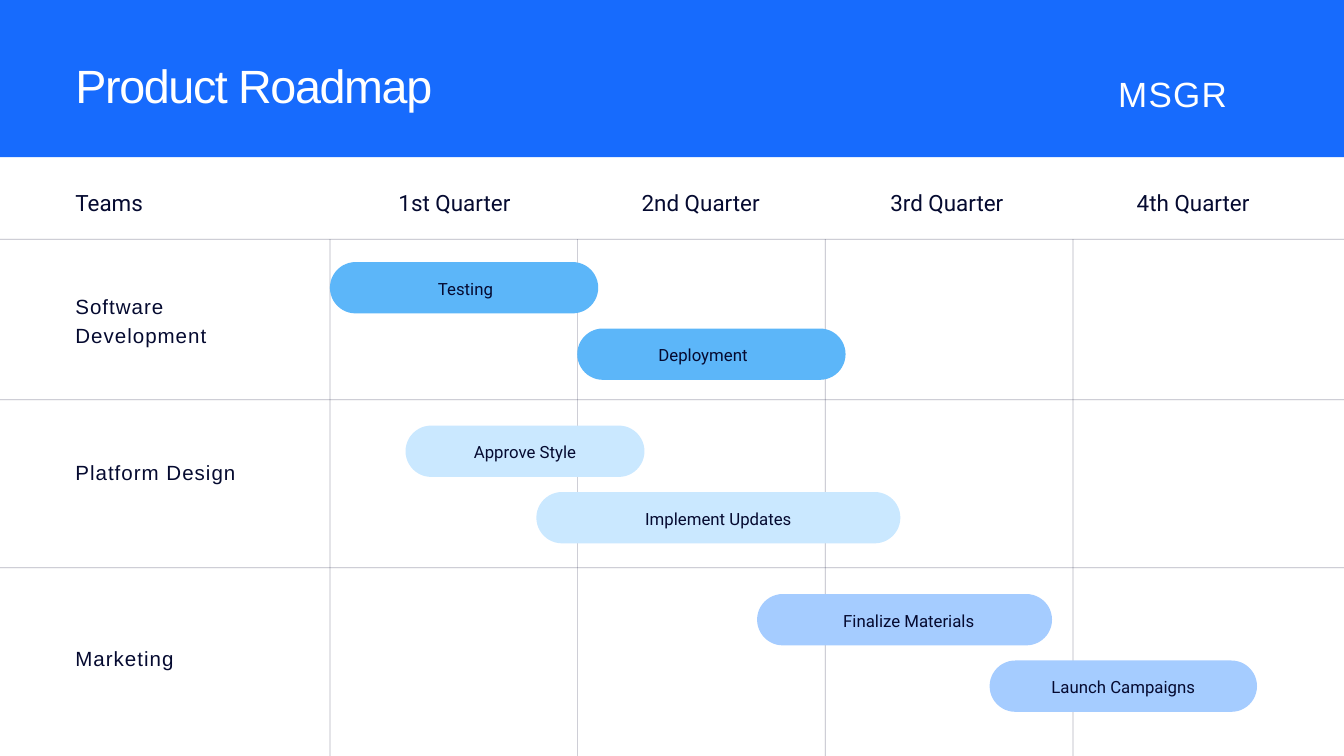
from collections import namedtuple

from lxml import etree
from pptx import Presentation
from pptx import util as u
from pptx.dml.color import RGBColor
from pptx.enum import shapes, text
from pptx.oxml import ns

WHITE = RGBColor(0xFF, 0xFF, 0xFF)
NAVY = RGBColor(0x05, 0x0A, 0x30)
BANNER_BLUE = RGBColor(0x17, 0x6B, 0xFD)
SKY_BLUE = RGBColor(0x5C, 0xB6, 0xF9)
PALE_BLUE = RGBColor(0xCA, 0xE8, 0xFF)
SOFT_BLUE = RGBColor(0xA5, 0xCC, 0xFF)

LEFT, CENTER, JUSTIFY = text.PP_ALIGN.LEFT, text.PP_ALIGN.CENTER, text.PP_ALIGN.JUSTIFY
TOP, MIDDLE = text.MSO_ANCHOR.TOP, text.MSO_ANCHOR.MIDDLE

Box = namedtuple("Box", "left top width height")
Style = namedtuple("Style", "font color line_spacing alignment tracking")
Row = namedtuple("Row", "name top label_top bar_top color bars")
Bar = namedtuple("Bar", "name left width label_shift")

TITLE = Style({"name": "Arial", "size": u.Pt(50)}, WHITE, 65, LEFT, -1.5)
MARK = Style({"name": "Arial", "size": u.Pt(37.5)}, WHITE, 52.4, LEFT, 1.4)
TEAM = Style({"name": "Arial", "size": u.Pt(22)}, NAVY, 30.8, JUSTIFY, 1.1)
HEADING = Style({"name": "Roboto", "size": u.Pt(24)}, NAVY, 31.2, LEFT, 0)
QUARTER = HEADING._replace(alignment=CENTER)
TASK = Style({"name": "Roboto", "size": u.Pt(18)}, NAVY, 23.4, CENTER, 0)

QUARTERS = ["1st Quarter", "2nd Quarter", "3rd Quarter", "4th Quarter"]
ROWS = [
    Row("Software Development", 87.8, 142.5, 112.3, SKY_BLUE,
        [Bar("Testing", 353.5, 287.5, 1.5), Bar("Deployment", 618.5, 287.5, -9)]),
    Row("Platform Design", 259.9, 319.7, 287.5, PALE_BLUE,
        [Bar("Approve Style", 434.5, 256, 0), Bar("Implement Updates", 574.7, 390, 0)]),
    Row("Marketing", 439.9, 519, 468, SOFT_BLUE,
        [Bar("Finalize Materials", 811.2, 316, 4.5), Bar("Launch Campaigns", 1060.3, 286.5, 0)]),
]
MARGIN = 80.8
COLUMN_LEFT, COLUMN_STEP = 353.5, 265.4
BAR_HEIGHT, BAR_STEP = 55, 71.2


def points(*values):
    """Turn numbers into point lengths."""
    return [u.Pt(value) for value in values]


def write(shape, content, style, anchor=TOP):
    """Fill a shape with one formatted paragraph."""
    frame = shape.text_frame
    frame_format = {"word_wrap": True, "auto_size": text.MSO_AUTO_SIZE.NONE,
                    "vertical_anchor": anchor, "margin_left": 0, "margin_top": 0,
                    "margin_right": 0, "margin_bottom": 0}
    for name, value in frame_format.items():
        setattr(frame, name, value)
    paragraph = frame.paragraphs[0]
    paragraph.alignment = style.alignment
    paragraph.line_spacing = u.Pt(style.line_spacing)
    run = paragraph.add_run()
    run.text = content
    for name, value in style.font.items():
        setattr(run.font, name, value)
    run.font.color.rgb = style.color
    if style.tracking:
        run._r.get_or_add_rPr().set("spc", str(round(style.tracking * 100)))


def add_label(slide, box, content, style):
    """Add a text box without margins."""
    write(slide.shapes.add_textbox(*points(*box)), content, style)


def add_filled(slide, kind, box, color):
    """Add a flat shape with a solid fill and no outline."""
    shape = slide.shapes.add_shape(kind, *points(*box))
    shape.shadow.inherit = False
    shape.fill.solid()
    shape.fill.fore_color.rgb = color
    shape.line.fill.background()
    return shape


def add_rule(slide, *ends):
    """Add a thin translucent grid line."""
    rule = slide.shapes.add_connector(shapes.MSO_CONNECTOR.STRAIGHT, *points(*ends))
    rule.line.width = u.Pt(0.75)
    rule.line.color.rgb = NAVY
    properties = rule._element.spPr
    color = properties.find(".//" + ns.qn("a:srgbClr"))
    etree.SubElement(color, ns.qn("a:alpha")).set("val", "30000")
    etree.SubElement(properties, ns.qn("a:effectLst"))


def add_banner(slide, box):
    """Draw the header band with the title and the short name."""
    add_filled(slide, shapes.MSO_SHAPE.RECTANGLE, box, BANNER_BLUE)
    title = slide.shapes.title
    title.left, title.top, title.width, title.height = points(
        box.left + MARGIN, box.top + 56, 988.5, 64)
    write(title, "Product Roadmap", TITLE)
    title._element.getparent().append(title._element)
    add_label(slide, Box(box.left + 1198, box.top + 69.8, 161.3, 51), "MSGR", MARK)


def add_grid(slide, box):
    """Draw the column and row rules of the roadmap."""
    right, bottom = box.left + box.width, box.top + box.height
    grid_top = box.top + ROWS[0].top
    for index in range(len(QUARTERS)):
        x = box.left + COLUMN_LEFT + index * COLUMN_STEP
        add_rule(slide, x, grid_top, x, bottom)
    for row in ROWS:
        y = box.top + row.top
        add_rule(slide, box.left, y, right, y)


def add_headings(slide, box):
    """Write the column headings."""
    add_label(slide, Box(box.left + MARGIN, box.top, 211.7, box.height), "Teams", HEADING)
    for index, quarter in enumerate(QUARTERS):
        left = box.left + 419.6 + index * 263.8
        add_label(slide, Box(left, box.top, 134.6, box.height), quarter, QUARTER)


def add_row(slide, box, row):
    """Place one team's name and its task bars."""
    label_top = box.top + row.label_top - row.top
    add_label(slide, Box(box.left + MARGIN, label_top, 211.7, 61.2), row.name, TEAM)
    for index, bar in enumerate(row.bars):
        top = box.top + row.bar_top - row.top + index * BAR_STEP
        shape = add_filled(slide, shapes.MSO_SHAPE.ROUNDED_RECTANGLE,
                           Box(box.left + bar.left, top, bar.width, BAR_HEIGHT), row.color)
        shape.adjustments[0] = 0.5
        write(shape, bar.name, TASK, MIDDLE)
        shape.text_frame.margin_left = u.Pt(max(2 * bar.label_shift, 0))
        shape.text_frame.margin_right = u.Pt(max(-2 * bar.label_shift, 0))


def add_roadmap(slide, box):
    """Draw the whole chart of teams against quarters."""
    add_grid(slide, box)
    add_headings(slide, Box(box.left, box.top + 31.7, box.width, 30.2))
    bottoms = [row.top for row in ROWS[1:]] + [box.height]
    for row, bottom in zip(ROWS, bottoms):
        add_row(slide, Box(box.left, box.top + row.top, box.width, bottom - row.top), row)


def main():
    """Build and save the roadmap slide."""
    presentation = Presentation()
    presentation.slide_width, presentation.slide_height = points(1440, 810)
    slide = presentation.slides.add_slide(presentation.slide_layouts[5])
    add_banner(slide, Box(0, 0, 1440, 168.5))
    add_roadmap(slide, Box(0, 168.5, 1440, 641.5))
    presentation.save("out.pptx")


if __name__ == "__main__":
    main()
